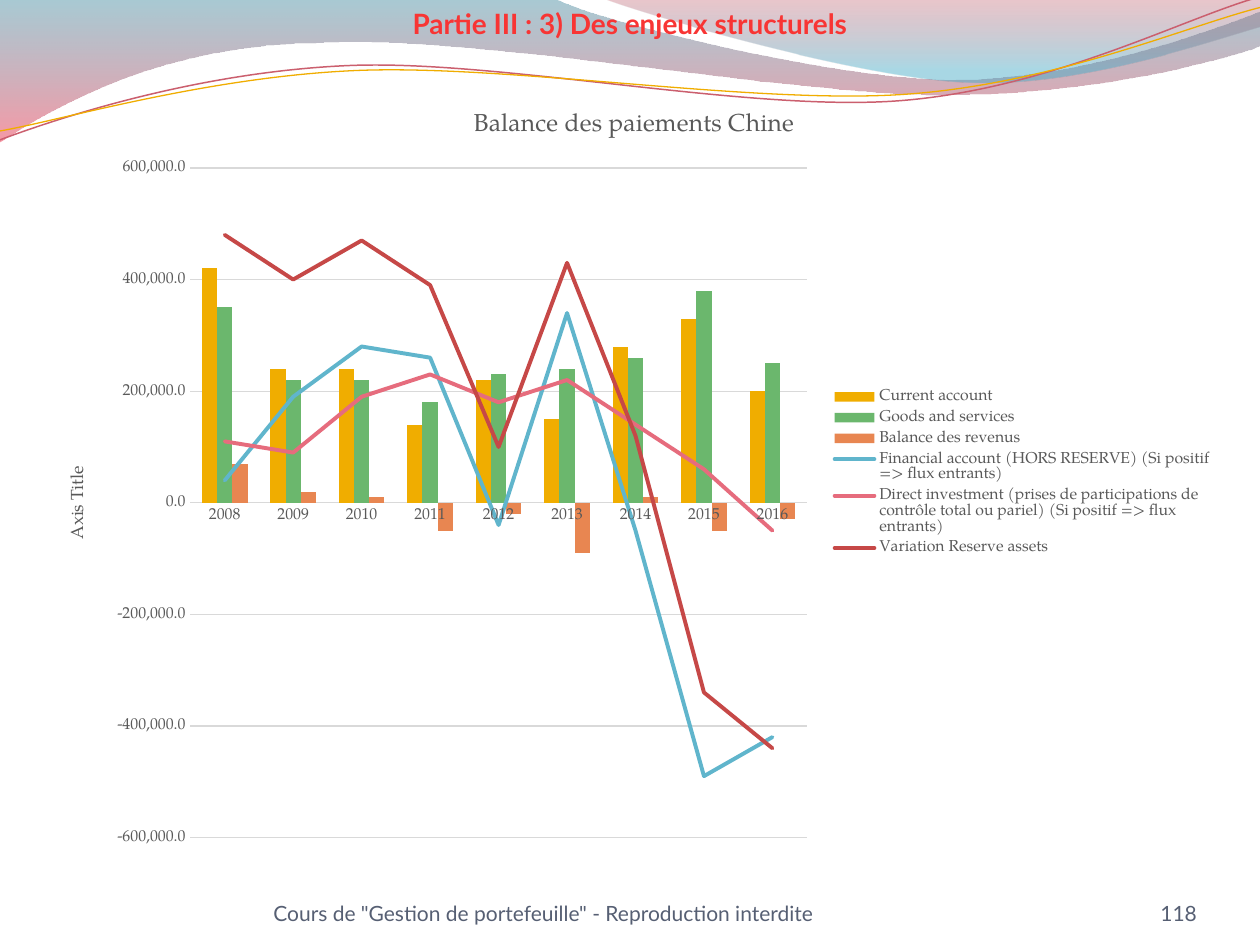
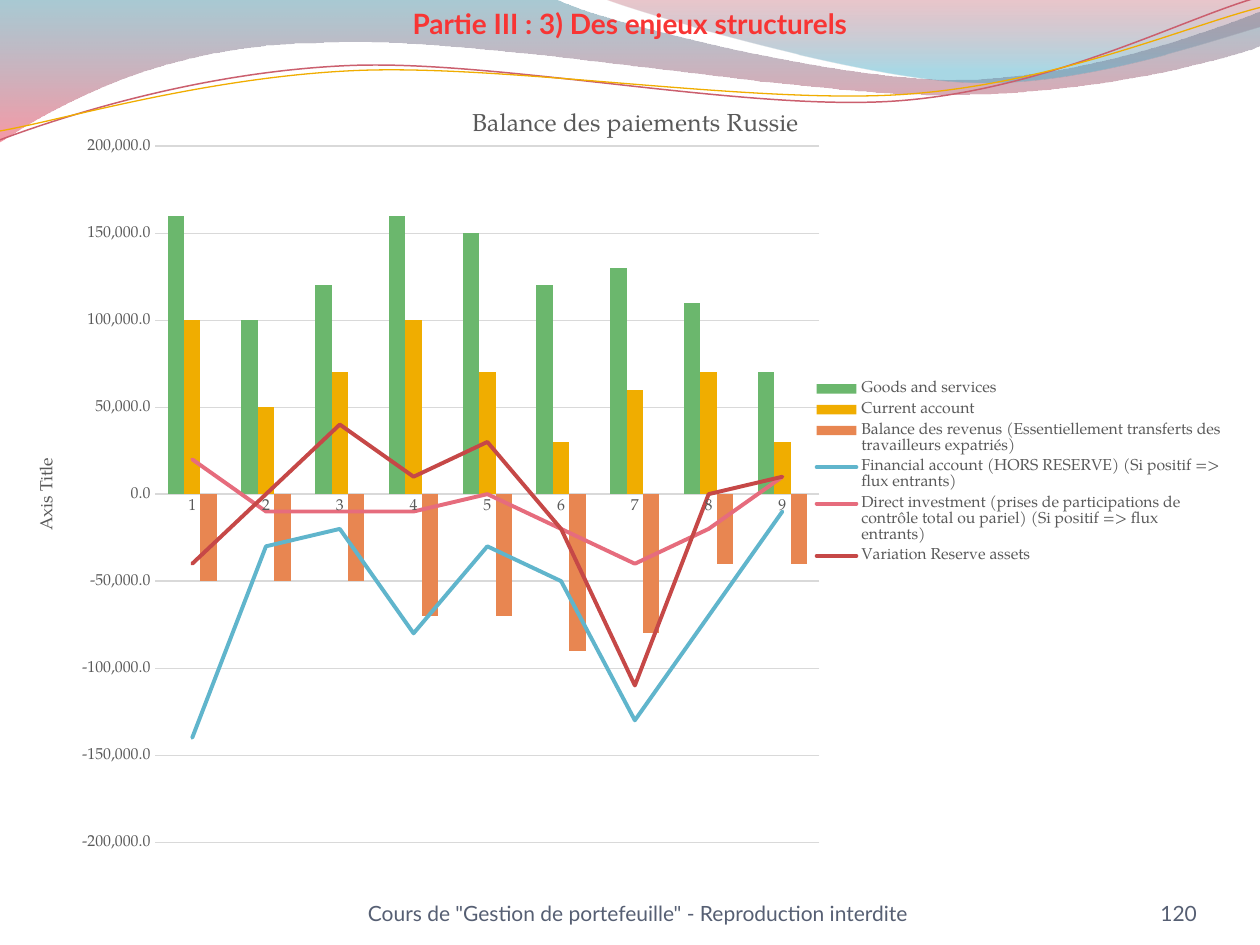
from dataclasses import dataclass
from math import cos, radians, sin
from typing import Any, NamedTuple

from lxml.etree import SubElement
from pptx import Presentation
from pptx.chart.data import CategoryChartData
from pptx.dml.color import RGBColor
from pptx.enum.chart import (XL_CHART_TYPE, XL_LEGEND_POSITION,
                             XL_MARKER_STYLE, XL_TICK_MARK)
from pptx.enum.text import MSO_ANCHOR, MSO_AUTO_SIZE, PP_ALIGN
from pptx.oxml import parse_xml
from pptx.oxml.ns import nsdecls, qn
from pptx.util import Inches, Pt


@dataclass(frozen=True)
class Theme:
    sans: str = "Lato"
    serif: str = "TeX Gyre Pagella"
    head: str = "F83534"
    foot: str = "565F73"
    text: str = "595959"
    grid: str = "D9D9D9"
    gold: str = "F0AD00"
    green: str = "6BB76D"
    rust: str = "E88651"
    sky: str = "60B5CC"
    pink: str = "E66C7D"
    red: str = "C64847"
    rose: str = "CB5F6E"
    big: float = 16
    mid: float = 14
    base: float = 12
    small: float = 10
    tiny: float = 9


T = Theme()
WIDE, HIGH = Inches(10), Inches(7.5)
CELL = WIDE // 10  # square grid: 10 columns by 7.5 rows
TILT = -2.7  # degrees, for the thin waves


class Box(NamedTuple):
    x: float
    y: float
    w: float
    h: float

    def emu(self) -> list[int]:
        return [round(v * CELL) for v in self]


class Stop(NamedTuple):
    at: float
    color: str
    alpha: int


class Wave(NamedTuple):
    start: tuple
    steps: list  # pairs are straight lines, sixes are curves
    stops: tuple = ()
    line: str = ""
    width: float = 0
    mid: tuple = ()  # centre of the tilt


class Row(NamedTuple):
    name: str
    color: str
    vals: list  # tens of thousands
    line: bool = False


class Page(NamedTuple):
    place: str
    num: str
    foot: Box
    frame: Box
    plot: Box  # percent of the chart frame
    cats: list
    top: int
    step: int
    rows: list


# Wave band shared by all slides
WAVES = [
    Wave((0, -.01), [(4.4, -.01), (4.76, .17, 6.64, .63, 7.58, .63),
                     (8.53, .63, 9.58, .26, 10, .09), (10.01, .36),
                     (9.83, .44, 8.7, .76, 7.46, .75),
                     (6.22, .75, 3.82, .28, 2.57, .34),
                     (1.29, .35, .46, .83, -.01, 1.13), (0, -.01)],
         (Stop(0, "3F8A9F", 45), Stop(1, "EF445B", 55))),
    Wave((4.79, -.01), [(5.09, .11, 6.82, .62, 7.69, .65),
                        (8.56, .69, 9.61, .32, 10, .21), (10, 0), (4.79, -.01)],
         (Stop(0, "B84253", 30), Stop(.8, "42ABC7", 45))),
    Wave((0, 1.11), [(.48, .93, 1.58, .57, 2.77, .52),
                     (3.95, .47, 5.93, .89, 7.13, .8),
                     (8.33, .71, 9.38, .15, 9.98, -.02)],
         line=T.rose, width=.85, mid=(4.99, .58)),
    Wave((0, 1.04), [(.47, .96, 1.64, .61, 2.83, .56),
                     (4.03, .51, 5.97, .83, 7.17, .75),
                     (8.36, .67, 9.41, .21, 10, .06)],
         line=T.gold, width=.75, mid=(5, .59)),
]

# Content
HEAD = "Partie III : 3) Des enjeux structurels"
FOOT = 'Cours de "Gestion de portefeuille" - Reproduction interdite'
GOODS, ACCT, INCOME = "Goods and services", "Current account", "Balance des revenus"
FLOWS = "Financial account (HORS RESERVE) (Si positif => flux entrants)"
DIRECT = ("Direct investment (prises de participations de contrôle total ou "
          "pariel) (Si positif => flux entrants)")
STOCK = "Variation Reserve assets"

PAGES = [
    Page("Chine", "118", Box(2.17, 7.14, 5.04, .21), Box(.35, .66, 9.37, 6.18),
         Box(12.4, 10.9, 52.2, 86), [str(y) for y in range(2008, 2017)], 600000, 200000, [
             Row(ACCT, T.gold, [42, 24, 24, 14, 22, 15, 28, 33, 20]),
             Row(GOODS, T.green, [35, 22, 22, 18, 23, 24, 26, 38, 25]),
             Row(INCOME, T.rust, [7, 2, 1, -5, -2, -9, 1, -5, -3]),
             Row(FLOWS, T.sky, [4, 19, 28, 26, -4, 34, -5, -49, -42], True),
             Row(DIRECT, T.pink, [11, 9, 19, 23, 18, 22, 14, 6, -5], True),
             Row(STOCK, T.red, [48, 40, 47, 39, 10, 43, 12, -34, -44], True)]),
    Page("Russie", "120", Box(2.92, 7.06, 4.76, .29), Box(.28, .66, 9.53, 6.18),
         Box(10, 8.1, 55.3, 89.4), [str(n) for n in range(1, 10)], 200000, 50000, [
             Row(GOODS, T.green, [16, 10, 12, 16, 15, 12, 13, 11, 7]),
             Row(ACCT, T.gold, [10, 5, 7, 10, 7, 3, 6, 7, 3]),
             Row(INCOME + " (Essentiellement transferts des travailleurs expatriés)",
                 T.rust, [-5, -5, -5, -7, -7, -9, -8, -4, -4]),
             Row(FLOWS, T.sky, [-14, -3, -2, -8, -3, -5, -13, -7, -1], True),
             Row(DIRECT, T.pink, [2, -1, -1, -1, 0, -2, -4, -2, 1], True),
             Row(STOCK, T.red, [-4, 0, 4, 1, 3, -2, -11, 0, 1], True)]),
]


# Formatting helpers
def put(item: Any, vals: dict) -> None:
    for key, val in vals.items():
        setattr(item, key, val)


def face(font: Any, size: float, color: str, name: str = T.serif,
         bold: bool = False) -> None:
    put(font, {"size": Pt(size), "name": name, "bold": bold})
    font.fill.solid()
    font.fill.fore_color.rgb = RGBColor.from_string(color)


def stroke(line: Any, color: str, width: float) -> None:
    line.color.rgb = RGBColor.from_string(color)
    line.width = Pt(width)


def write(shape: Any, text: str, size: float, color: str, bold: bool = False,
          align: Any = PP_ALIGN.LEFT, anchor: Any = MSO_ANCHOR.BOTTOM) -> None:
    frame = shape.text_frame
    sides = ("left", "top", "right", "bottom")
    put(frame, {"text": text, "word_wrap": True, "vertical_anchor": anchor,
                "auto_size": MSO_AUTO_SIZE.NONE,
                **{f"margin_{side}": 0 for side in sides}})
    para = frame.paragraphs[0]
    para.alignment = align
    face(para.runs[0].font, size, color, T.sans, bold)


# Wave band
def level(spot: tuple, mid: tuple) -> tuple:
    """Undo the tilt, which the shape's own rotation adds again."""
    turn = radians(-TILT)
    x, y = spot[0] - mid[0], spot[1] - mid[1]
    return (mid[0] + x * cos(turn) - y * sin(turn),
            mid[1] + x * sin(turn) + y * cos(turn))


def bend(shape: Any, steps: list) -> None:
    """Join each three line points of a curve step into one Bézier."""
    nodes = iter(list(shape._element.iter(qn("a:lnTo"))))
    for step in steps:
        node = next(nodes)
        if len(step) == 6:
            node.addprevious(curve := parse_xml(f'<a:cubicBezTo {nsdecls("a")}/>'))
            for part in (node, next(nodes), next(nodes)):
                curve.append(part[0])
                part.getparent().remove(part)


def draw_wave(slide: Any, wave: Wave) -> Any:
    spots = [wave.start] + [step[i:i + 2] for step in wave.steps
                            for i in range(0, len(step), 2)]
    if wave.mid:
        spots = [level(spot, wave.mid) for spot in spots]
    spots = [(round(x * CELL), round(y * CELL)) for x, y in spots]
    pen = slide.shapes.build_freeform(*spots[0], scale=1.0)
    pen.add_line_segments(spots[1:], close=bool(wave.stops))
    shape = pen.convert_to_shape()
    bend(shape, wave.steps)
    shape.shadow.inherit = False
    if not wave.stops:
        shape.rotation = TILT
        shape.fill.background()
        stroke(shape.line, wave.line, wave.width)
        return shape
    shape.line.fill.background()
    shape.fill.gradient()
    shape.fill.gradient_angle = 270
    for mark, stop in zip(shape.fill.gradient_stops, wave.stops):
        mark.position = stop.at
        mark.color.rgb = RGBColor.from_string(stop.color)
    for node, stop in zip(shape._element.iter(qn("a:srgbClr")), wave.stops):
        SubElement(node, qn("a:alpha"), val=str(stop.alpha * 1000))
    return shape


def share_band(slide: Any) -> None:
    """Move the band to the master, behind every slide."""
    tree = slide.slide_layout.slide_master.shapes._spTree
    for n, wave in enumerate(WAVES):
        node = draw_wave(slide, wave)._element
        node.nvSpPr.cNvPr.set("id", str(20 + n))
        tree.insert(2 + n, node)


# Charts
def lay(node: Any, index: int, vals: dict, inner: bool = False) -> None:
    for old in node.findall(qn("c:layout")):
        node.remove(old)
    goal = '<c:layoutTarget val="inner"/>' if inner else ""
    modes = "".join(f'<c:{k}Mode val="edge"/>' for k in "xy")
    sizes = "".join(f'<c:{k} val="{v / 100:.3f}"/>' for k, v in vals.items())
    node.insert(index, parse_xml(
        f'<c:layout {nsdecls("c")}><c:manualLayout>{goal}{modes}{sizes}'
        "</c:manualLayout></c:layout>"))


def add_lines(area: Any, rows: list) -> None:
    """Move the line rows from the column plot to a line plot."""
    bars = area.find(qn("c:barChart"))
    plot = parse_xml(f'<c:lineChart {nsdecls("c")}><c:grouping val="standard"/>'
                     '<c:varyColors val="0"/></c:lineChart>')
    for row, node in zip(rows, bars.findall(qn("c:ser"))):
        if row.line:
            for flip in node.findall(qn("c:invertIfNegative")):
                node.remove(flip)
            plot.append(node)
    SubElement(plot, qn("c:marker"), val="1")
    for axis in bars.findall(qn("c:axId")):
        SubElement(plot, qn("c:axId"), val=axis.get("val"))
    bars.addnext(plot)


def style_axes(chart: Any, page: Page) -> None:
    cat, val = chart.category_axis, chart.value_axis
    for axis in (cat, val):
        put(axis, {"major_tick_mark": XL_TICK_MARK.NONE,
                   "minor_tick_mark": XL_TICK_MARK.NONE})
        face(axis.tick_labels.font, T.tiny, T.text)
    stroke(cat.format.line, T.grid, .75)
    put(val, {"minimum_scale": -page.top, "maximum_scale": page.top,
              "major_unit": page.step, "has_major_gridlines": True,
              "has_title": True})
    put(val.tick_labels, {"number_format": "#,##0.0",
                          "number_format_is_linked": False})
    stroke(val.major_gridlines.format.line, T.grid, .75)
    val.format.line.fill.background()
    # The title keeps its default wording
    val.axis_title._element.append(parse_xml(
        f'<c:txPr {nsdecls("c", "a")}><a:bodyPr rot="-5400000" vert="horz"/>'
        f'<a:p><a:pPr><a:defRPr sz="{T.small * 100}" b="0"><a:solidFill>'
        f'<a:srgbClr val="{T.text}"/></a:solidFill><a:latin typeface="{T.serif}"/>'
        '</a:defRPr></a:pPr><a:endParaRPr lang="fr-FR"/></a:p></c:txPr>'))


def draw_chart(slide: Any, page: Page) -> None:
    data = CategoryChartData()
    data.categories = page.cats
    for row in page.rows:
        data.add_series(row.name, [v * 10000 for v in row.vals])
    chart = slide.shapes.add_chart(XL_CHART_TYPE.COLUMN_CLUSTERED,
                                   *page.frame.emu(), data).chart
    face(chart.font, T.small, "000000")
    area = chart._chartSpace.find(".//" + qn("c:plotArea"))
    add_lines(area, page.rows)
    lay(area, 0, page.plot._asdict(), inner=True)
    style_axes(chart, page)

    # Title and legend
    frame = chart.chart_title.text_frame
    frame.text = f"Balance des paiements {page.place}"
    face(frame.paragraphs[0].runs[0].font, T.mid, T.text)
    lay(chart.chart_title._element, 1, {"x": 36, "y": 2.9})
    chart.has_legend = True
    put(chart.legend, {"position": XL_LEGEND_POSITION.RIGHT,
                       "include_in_layout": False})
    face(chart.legend.font, T.tiny, T.text)

    # Series
    bars, lines = chart.plots
    put(bars, {"gap_width": 150, "overlap": 0, "vary_by_categories": False})
    for row, item in zip(page.rows, [*bars.series, *lines.series]):
        if row.line:
            stroke(item.format.line, row.color, 2.25)
            item._element.find(".//" + qn("a:ln")).set("cap", "rnd")
            item.marker.style = XL_MARKER_STYLE.NONE
            item.smooth = False
        else:
            item.format.fill.solid()
            item.format.fill.fore_color.rgb = RGBColor.from_string(row.color)
            item.invert_if_negative = False


def draw_page(slide: Any, page: Page) -> None:
    title = slide.shapes.title
    put(title, dict(zip(("left", "top", "width", "height"), Box(0, 0, 10, .37).emu())))
    write(title, HEAD, T.big, T.head, True, PP_ALIGN.CENTER, MSO_ANCHOR.MIDDLE)
    draw_chart(slide, page)
    for box, text, align in ((page.foot, FOOT, PP_ALIGN.LEFT),
                             (Box(8.67, 6.95, .83, .4), page.num, PP_ALIGN.RIGHT)):
        write(slide.shapes.add_textbox(*box.emu()), text, T.base, T.foot, align=align)


def main() -> None:
    deck = Presentation()
    put(deck, {"slide_width": WIDE, "slide_height": HIGH})
    slides = [deck.slides.add_slide(deck.slide_layouts[5]) for _ in PAGES]
    share_band(slides[0])
    for slide, page in zip(slides, PAGES):
        draw_page(slide, page)
    deck.save("out.pptx")


if __name__ == "__main__":
    main()
